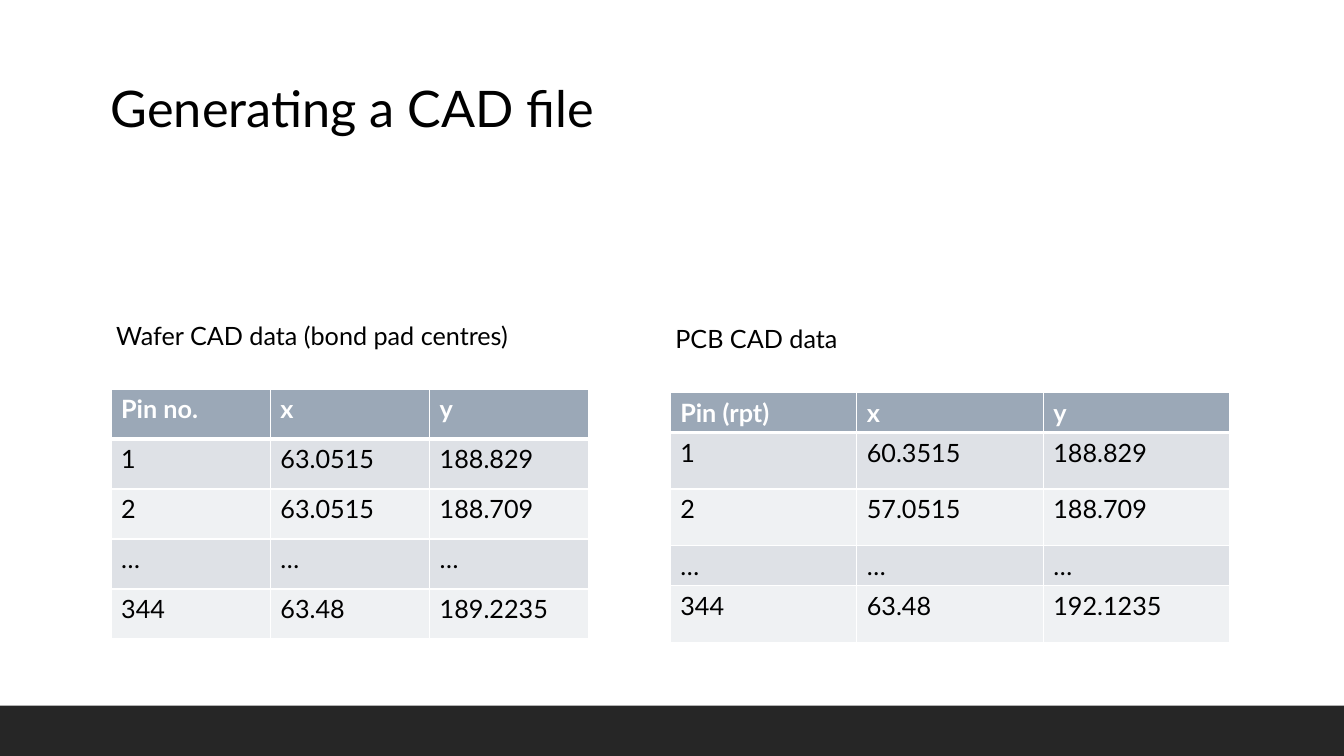
from lxml import etree
from pptx import Presentation
from pptx.dml.color import RGBColor
from pptx.enum import shapes, text
from pptx.oxml import ns
from pptx.util import Cm, Pt

FONT = "Lato"
BLACK = RGBColor(0x00, 0x00, 0x00)
WHITE = RGBColor(0xFF, 0xFF, 0xFF)
DARK = RGBColor(0x26, 0x26, 0x26)
HEAD = RGBColor(0x9B, 0xA8, 0xB7)
BANDS = (RGBColor(0xEF, 0xF1, 0xF3), RGBColor(0xDE, 0xE1, 0xE6))

WAFER = (
    ("Pin no.", "x", "y"),
    ("1", "63.0515", "188.829"),
    ("2", "63.0515", "188.709"),
    ("…", "…", "…"),
    ("344", "63.48", "189.2235"),
)
BOARD = (
    ("Pin (rpt)", "x", "y"),
    ("1", "60.3515", "188.829"),
    ("2", "57.0515", "188.709"),
    ("…", "…", "…"),
    ("344", "63.48", "192.1235"),
)


def write(frame, words, size, color=BLACK, bold=False):
    frame.text = words
    for run in frame.paragraphs[0].runs:
        font = run.font
        font.name, font.size, font.bold = FONT, Pt(size), bold
        font.color.rgb = color


def edge(cell, side, width):
    props = cell._tc.get_or_add_tcPr()
    line = etree.SubElement(props, ns.qn(f"a:ln{side}"), w=str(Pt(width)))
    fill = etree.SubElement(line, ns.qn("a:solidFill"))
    etree.SubElement(fill, ns.qn("a:srgbClr"), val=str(WHITE))


def title(slide, words, left, top, width, height):
    box = slide.shapes.title
    box.left, box.top, box.width, box.height = map(Cm, (left, top, width, height))
    frame = box.text_frame
    frame.word_wrap = True
    frame.vertical_anchor = text.MSO_ANCHOR.MIDDLE
    write(frame, words, 36)
    frame.paragraphs[0].alignment = text.PP_ALIGN.LEFT


def footer(slide, left, top, width, height):
    bar = slide.shapes.add_shape(
        shapes.MSO_SHAPE.RECTANGLE, Cm(left), Cm(top), Cm(width), Cm(height)
    )
    bar.shadow.inherit = False
    bar.fill.solid()
    bar.fill.fore_color.rgb = DARK
    bar.line.fill.background()


def panel(slide, label, data, left, top, width, heights):
    box = slide.shapes.add_textbox(
        Cm(left - 0.12), Cm(top - 1.85), Cm(width), Cm(1.02)
    )
    box.text_frame.word_wrap = True
    write(box.text_frame, label, 18)

    grid = slide.shapes.add_table(
        len(data), len(data[0]), Cm(left), Cm(top), Cm(width), Cm(sum(heights))
    ).table
    for col in grid.columns:
        col.width = Cm(width / len(data[0]))
    for r, (row, height) in enumerate(zip(data, heights)):
        grid.rows[r].height = Cm(height)
        for c, words in enumerate(row):
            cell = grid.cell(r, c)
            write(cell.text_frame, words, 18, BLACK if r else WHITE, r == 0)
            for side in "LRTB":
                thick = (r, side) in ((0, "B"), (1, "T"))
                edge(cell, side, 3 if thick else 1)
            cell.fill.solid()
            cell.fill.fore_color.rgb = BANDS[r % 2] if r else HEAD


def main():
    deck = Presentation()
    deck.slide_width, deck.slide_height = Cm(33.87), Cm(19.05)
    slide = deck.slides.add_slide(deck.slide_layouts[5])
    footer(slide, 0, 17.78, 33.87, 1.27)
    title(slide, "Generating a CAD file", 2.54, 1.8, 27.69, 1.8)
    panel(slide, "Wafer CAD data (bond pad centres)", WAFER,
          2.8, 9.8, 12.04, [1.26] * 5)
    panel(slide, "PCB CAD data", BOARD,
          16.89, 9.88, 14.1, [1.02, 1.42, 1.42, 1.02, 1.42])
    deck.save("out.pptx")


if __name__ == "__main__":
    main()
